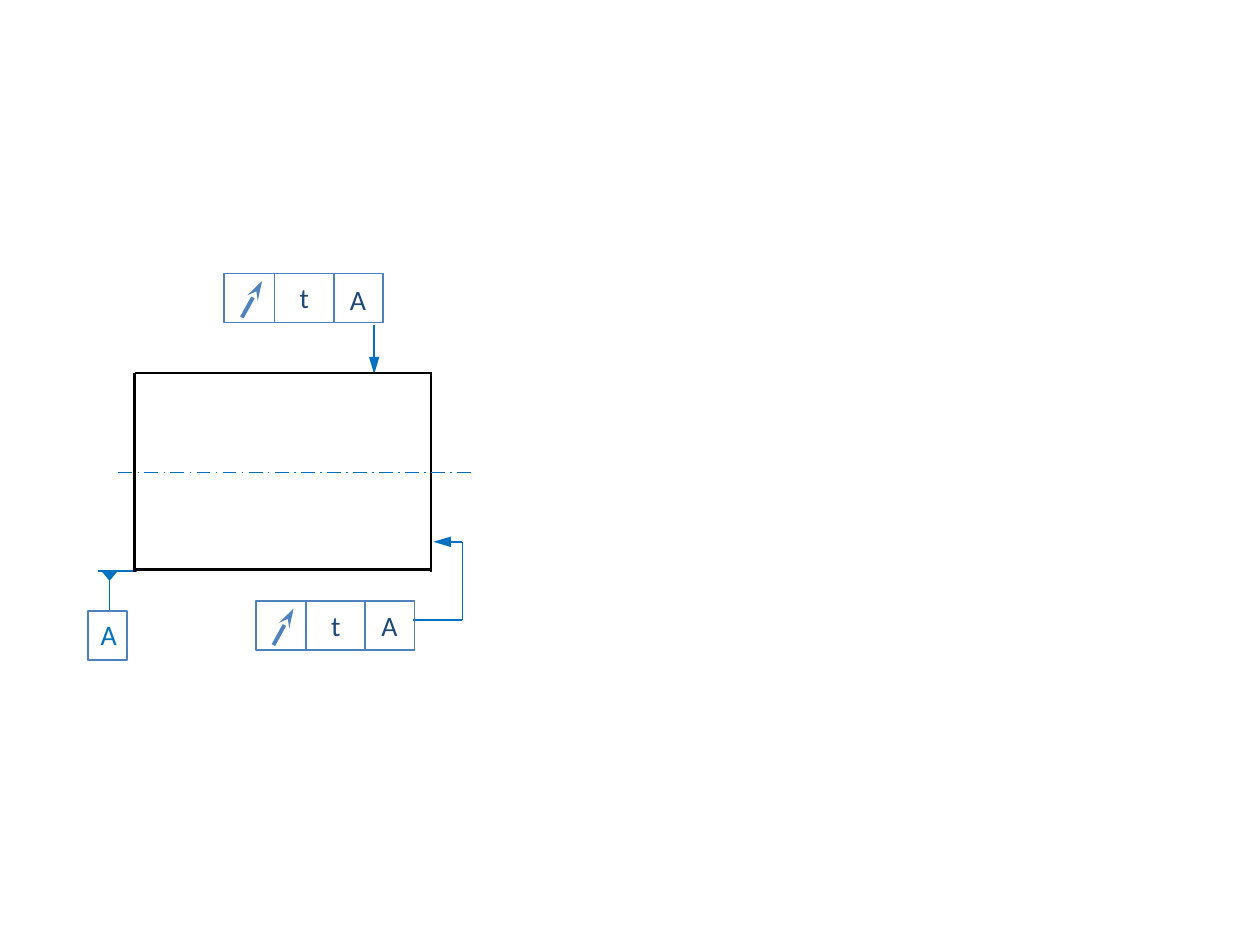
from lxml import etree
from pptx import Presentation
from pptx.dml.color import RGBColor
from pptx.enum.dml import MSO_LINE
from pptx.enum.shapes import MSO_CONNECTOR, MSO_SHAPE
from pptx.enum.text import MSO_AUTO_SIZE, PP_ALIGN
from pptx.oxml.ns import qn
from pptx.util import Inches, Pt

COLORS = {"edge": "000000", "mark": "0070C0", "frame": "4F81BD", "text": "1F497D"}

# Tolerance frames: left, top, drop of the datum letter
FRAMES = [(2.03, 4.77, 0.01), (1.78, 2.17, 0.02)]

# Cylinder outline: start, end
EDGES = [
    ((1.07, 4.54), (1.07, 2.96)),
    ((1.07, 2.96), (3.43, 2.96)),
    ((3.42, 4.54), (3.42, 2.96)),
    ((1.06, 4.52), (3.42, 4.52)),
]

# Datum and leader lines: start, end, arrowhead (type, width, length)
LEADERS = [
    ((1.09, 4.53), (0.78, 4.53), None),
    ((0.87, 4.53), (0.87, 4.61), ("triangle", "lg", "med")),
    ((0.87, 4.84), (0.87, 4.57), None),
    ((3.67, 4.92), (3.28, 4.92), None),
    ((3.67, 4.92), (3.67, 4.30), None),
    ((3.67, 4.30), (3.44, 4.30), ("triangle", "med", "lg")),
    ((2.97, 2.58), (2.97, 2.97), ("triangle", "med", "lg")),
]
AXIS = ((0.94, 3.75), (3.75, 3.75))
DATUM = (0.70, 4.85)

deck = Presentation()
deck.slide_width, deck.slide_height = Inches(10), Inches(7.5)
slide = deck.slides.add_slide(deck.slide_layouts[6])
shapes = slide.shapes


def paint(line, color, width):
    """Set the colour and width of a line."""
    line.color.rgb = RGBColor.from_string(COLORS[color])
    line.width = Pt(width)


def add_line(start, end, color, width=1, head=None, dash=None):
    """Draw a straight line, with a dash or an arrowhead if given."""
    ends = [Inches(n) for n in (*start, *end)]
    link = shapes.add_connector(MSO_CONNECTOR.STRAIGHT, *ends)
    paint(link.line, color, width)
    if dash:
        link.line.dash_style = dash
    if head:
        kind, w, size = head
        line = link.line._get_or_add_ln()
        etree.SubElement(line, qn("a:tailEnd"), type=kind, w=w, len=size)
    etree.SubElement(link._element.spPr, qn("a:effectLst"))


def add_box(left, top, width, height=0.39):
    """Draw an empty frame box."""
    box = shapes.add_shape(MSO_SHAPE.RECTANGLE, *map(Inches, (left, top, width, height)))
    box.shadow.inherit = False
    box.fill.background()
    paint(box.line, "frame", 1)


def add_text(text, left, top, width, color="text"):
    """Place a centred letter."""
    box = shapes.add_textbox(*map(Inches, (left, top, width, 0.37)))
    frame = box.text_frame
    frame.word_wrap = True
    frame.auto_size = MSO_AUTO_SIZE.SHAPE_TO_FIT_TEXT
    para = frame.paragraphs[0]
    para.alignment = PP_ALIGN.CENTER
    run = para.add_run()
    run.text = text
    run.font.name, run.font.size = "Calibri", Pt(16)
    run.font.color.rgb = RGBColor.from_string(COLORS[color])


def add_frame(left, top, drop):
    """Draw a runout frame: arrow, tolerance t and datum A."""
    for shift, width in ((0, 0.87), (0.40, 0.86), (0.87, 0.39)):
        add_box(left + shift, top, width)
    add_text("t", left + 0.40, top + 0.01, 0.47)
    add_text("A", left + 0.87, top + drop, 0.38)
    add_line((left + 0.14, top + 0.35), (left + 0.30, top + 0.06),
             "frame", 2.25, ("stealth", "med", "lg"))


for start, end, head in LEADERS:
    add_line(start, end, "mark", head=head)
for start, end in EDGES:
    add_line(start, end, "edge", 1.5)
add_line(*AXIS, "mark", dash=MSO_LINE.LONG_DASH_DOT)
for spot in FRAMES:
    add_frame(*spot)
add_text("A", *DATUM, 0.31, "mark")
add_box(*DATUM, 0.31)

deck.save("out.pptx")
